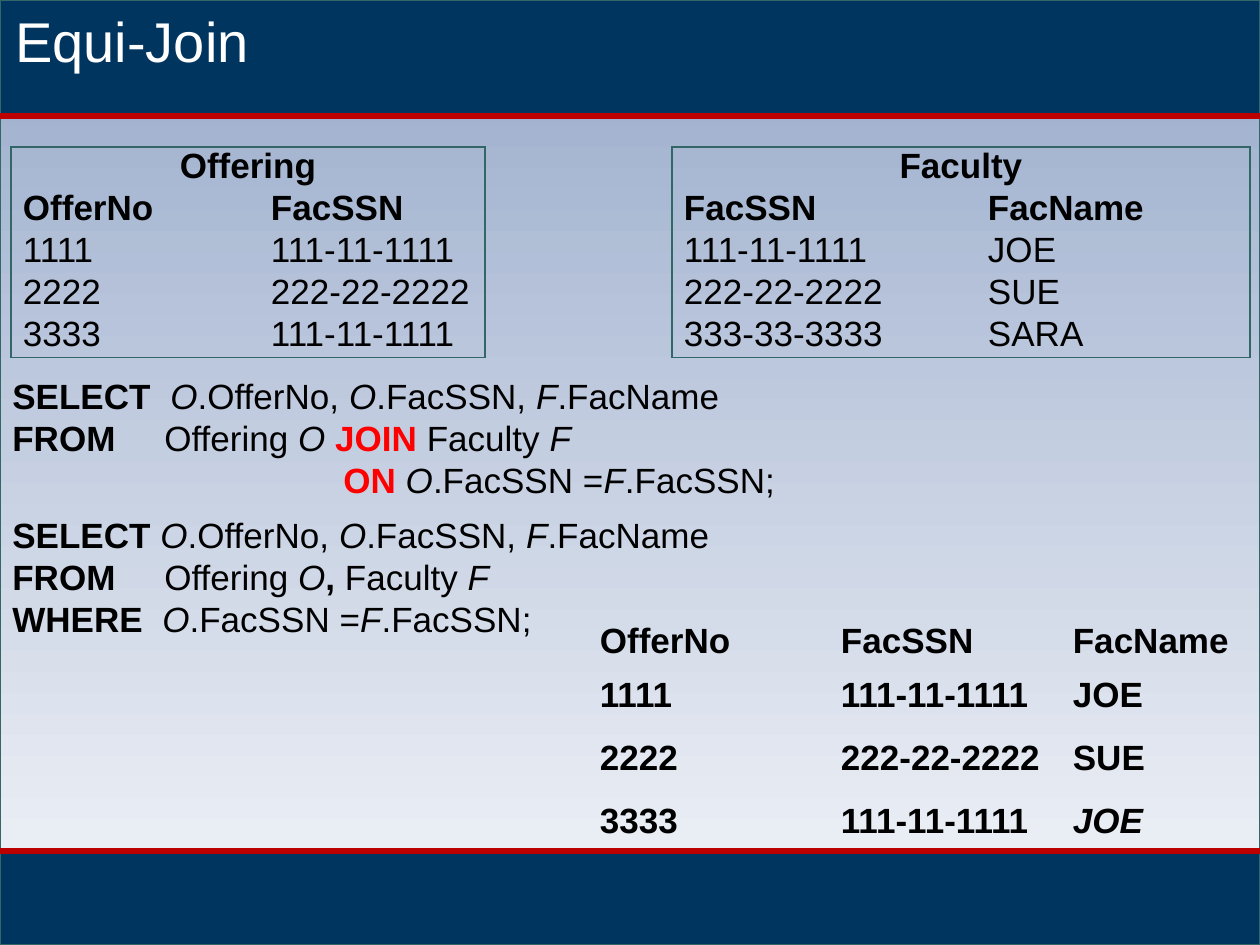
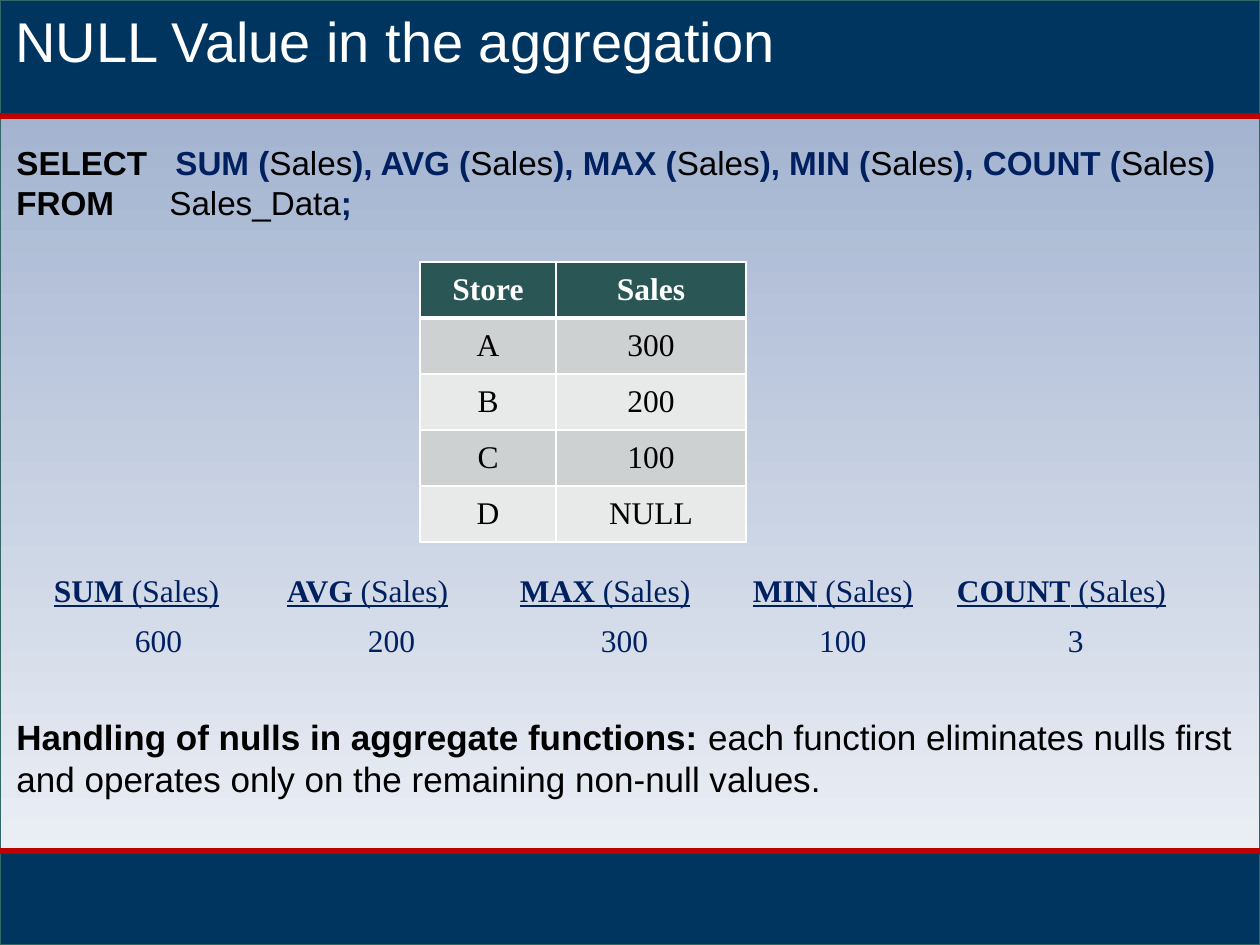
from dataclasses import dataclass

from pptx import Presentation
from pptx.dml.color import RGBColor
from pptx.enum.shapes import MSO_CONNECTOR, MSO_SHAPE
from pptx.enum.text import MSO_ANCHOR, PP_ALIGN
from pptx.oxml.ns import qn
from pptx.util import Pt
from lxml.etree import SubElement

PX = 914400 / 126
WIDTH, HEIGHT = 1260, 945
TOP_BAND, BOTTOM_BAND = 116, 851
NO_STYLE = "{2D5ABB26-0587-4C30-8999-92F81FD0307C}"


@dataclass(frozen=True)
class Theme:
    sans: str = "Arial"
    serif: str = "Times New Roman"
    title_size: int = 32
    body_size: int = 20
    query_size: int = 19
    table_size: int = 18
    sky_top: str = "99ABCB"
    sky_bottom: str = "F3F5F9"
    band: str = "003560"
    rule: str = "BC0000"
    frame: str = "336666"
    text: str = "000000"
    white: str = "FFFFFF"
    accent: str = "FF0000"
    navy: str = "002060"
    header_fill: str = "2A5656"
    odd_fill: str = "CDD1D1"
    even_fill: str = "E8E9E9"


THEME = Theme()
BOLD = {"bold": True}
ITALIC = {"italic": True}
JOIN_WORD = {"bold": True, "color": THEME.accent}
FUNCTION = {"bold": True, "color": THEME.navy}


def emu(pixels):
    return round(pixels * PX)


def rgb(color):
    return RGBColor.from_string(color)


def add_span(para, text, *, size=THEME.body_size, font=THEME.sans, color=THEME.text,
             bold=False, italic=False, underline=False):
    span = para.add_run()
    span.text = text
    span.font.size = Pt(size)
    span.font.name = font
    span.font.color.rgb = rgb(color)
    span.font.bold = bold
    span.font.italic = italic
    span.font.underline = underline


def fill_para(para, content, **style):
    """Write a plain string, or a list of strings and (text, format) pairs."""
    for part in [content] if isinstance(content, str) else content:
        text, extra = (part, {}) if isinstance(part, str) else part
        add_span(para, text, **{**style, **extra})


def set_tabs(para, stops):
    tabs = SubElement(para._p.get_or_add_pPr(), qn("a:tabLst"))
    for stop in stops:
        SubElement(tabs, qn("a:tab"), pos=str(emu(stop)), algn="l")


def set_borders(cell, borders):
    """Draw the sides named in borders as (color, points) and clear the others."""
    properties = cell._tc.get_or_add_tcPr()
    for side in "LRTB":
        color, points = borders.get(side, (None, 0))
        line = SubElement(properties, qn(f"a:ln{side}"), w=str(Pt(points)))
        if color:
            fill = SubElement(line, qn("a:solidFill"))
            SubElement(fill, qn("a:srgbClr"), val=color)
        else:
            SubElement(line, qn("a:noFill"))


class SlideBuilder:
    def __init__(self, deck, theme):
        self.deck = deck
        self.theme = theme
        self.page = None

    def new_page(self, title):
        self.page = self.deck.slides.add_slide(self.deck.slide_layouts[6])
        sky = self.rectangle(0, HEIGHT)
        sky.fill.gradient()
        sky.fill.gradient_angle = 270
        for stop, color in zip(sky.fill.gradient_stops,
                               (self.theme.sky_top, self.theme.sky_bottom)):
            stop.color.rgb = rgb(color)
        for top, bottom in ((BOTTOM_BAND, HEIGHT), (0, TOP_BAND)):
            band = self.rectangle(top, bottom - top)
            band.fill.solid()
            band.fill.fore_color.rgb = rgb(self.theme.band)
        for y in (TOP_BAND, BOTTOM_BAND):
            self.rule(y)
        self.text(3, 0, 1257, 81, [(title, ())],
                  size=self.theme.title_size, color=self.theme.white)

    def rectangle(self, top, height):
        """Add a full-width rectangle with the thin frame line."""
        shape = self.page.shapes.add_shape(
            MSO_SHAPE.RECTANGLE, 0, emu(top), emu(WIDTH), emu(height))
        shape.shadow.inherit = False
        shape.line.color.rgb = rgb(self.theme.frame)
        shape.line.width = Pt(0.75)
        return shape

    def rule(self, y):
        line = self.page.shapes.add_connector(
            MSO_CONNECTOR.STRAIGHT, 0, emu(y), emu(WIDTH), emu(y))
        line.line.color.rgb = rgb(self.theme.rule)
        line.line.width = Pt(3.75)
        SubElement(line._element.spPr, qn("a:effectLst"))

    def text(self, left, top, width, height, paragraphs, **style):
        """Add a text box; each paragraph is (content, tab stops)."""
        box = self.page.shapes.add_textbox(*map(emu, (left, top, width, height)))
        frame = box.text_frame
        frame.word_wrap = True
        for index, (content, stops) in enumerate(paragraphs):
            para = frame.add_paragraph() if index else frame.paragraphs[0]
            if stops:
                set_tabs(para, stops)
            fill_para(para, content, **style)

    def table(self, left, top, widths, heights, rows, look, margins=(12, 6),
              anchor=MSO_ANCHOR.TOP):
        """Add a table; look(row, column) gives align, fill, borders and font format."""
        graphic = self.page.shapes.add_table(
            len(heights), len(widths),
            *map(emu, (left, top, sum(widths), sum(heights))))
        table = graphic.table
        table.first_row = table.horz_banding = False
        table._tbl.tblPr.find(qn("a:tableStyleId")).text = NO_STYLE
        for column, width in zip(table.columns, widths):
            column.width = emu(width)
        for r, (height, contents) in enumerate(zip(heights, rows)):
            table.rows[r].height = emu(height)
            for c, content in enumerate(contents):
                cell, style = table.cell(r, c), look(r, c)
                cell.margin_left = cell.margin_right = emu(margins[0])
                cell.margin_top = cell.margin_bottom = emu(margins[1])
                cell.vertical_anchor = anchor
                set_borders(cell, style.pop("borders", {}))
                fill = style.pop("fill", None)
                if fill:
                    cell.fill.solid()
                    cell.fill.fore_color.rgb = rgb(fill)
                else:
                    cell.fill.background()
                para = cell.text_frame.paragraphs[0]
                para.alignment = style.pop("align", PP_ALIGN.LEFT)
                if content:
                    fill_para(para, content, **style)
        return table

    def framed_table(self, left, widths, name, rows):
        """Add a two-column relation with its name on top and a line around it."""
        last = len(rows)
        edge = (self.theme.frame, 1)

        def look(r, c):
            sides = {"L": c == 0, "R": c == 1 or r == 0, "T": r == 0, "B": r == last}
            return {"bold": r < 2,
                    "align": PP_ALIGN.LEFT if r else PP_ALIGN.CENTER,
                    "borders": {side: edge for side, drawn in sides.items() if drawn}}

        table = self.table(left, 147, widths, [42] * (last + 1),
                           [(name, ""), *rows], look, margins=(12, 0))
        table.cell(0, 0).merge(table.cell(0, 1))


def build_equi_join(builder):
    builder.new_page("Equi-Join")
    columns = [("O", ITALIC), ".OfferNo, ", ("O", ITALIC), ".FacSSN, ",
               ("F", ITALIC), ".FacName"]
    condition = [("O", ITALIC), ".FacSSN =", ("F", ITALIC), ".FacSSN;"]
    builder.text(0, 368, WIDTH, 140, [
        ([("SELECT\t", BOLD), *columns], (158,)),
        ([("FROM\t", BOLD), "Offering ", ("O ", ITALIC), ("JOIN ", JOIN_WORD),
          "Faculty ", ("F", ITALIC)], (152,)),
        ([("\tON ", JOIN_WORD), *condition], (331,)),
    ])
    builder.framed_table(672, (304, 274), "Faculty", [
        ("FacSSN", "FacName"),
        ("111-11-1111", "JOE"),
        ("222-22-2222", "SUE"),
        ("333-33-3333", "SARA"),
    ])
    builder.framed_table(11, (248, 226), "Offering", [
        ("OfferNo", "FacSSN"),
        ("1111", "111-11-1111"),
        ("2222", "222-22-2222"),
        ("3333", "111-11-1111"),
    ])
    joined = [
        ("OfferNo", "FacSSN", "FacName"),
        ("1111", "111-11-1111", "JOE"),
        ("2222", "222-22-2222", "SUE"),
        ("3333", "111-11-1111", [("JOE", ITALIC)]),
    ]
    builder.table(588, 616, (241, 232, 188), (54, 63, 63, 54), joined,
                  lambda r, c: {"bold": True})
    builder.text(0, 507, WIDTH, 140, [
        ([("SELECT\t", BOLD), *columns], (148,)),
        ([("FROM\t", BOLD), "Offering ", ("O", ITALIC), (", ", BOLD),
          "Faculty ", ("F", ITALIC)], (152,)),
        ([("WHERE\t", BOLD), *condition], (150,)),
    ])


def build_null_aggregation(builder):
    theme = builder.theme
    builder.new_page("NULL Value in the aggregation")
    results = {"SUM": "600", "AVG": "200", "MAX": "300", "MIN": "100", "COUNT": "3"}

    calls = []
    for name in results:
        calls += [(f"{'), ' if calls else ''}{name} (", FUNCTION), "Sales"]
    builder.text(4, 136, 1256, 93, [
        ([("SELECT\t", BOLD), *calls, (")", FUNCTION)], (159,)),
        ([("FROM\t", BOLD), "Sales_Data", (";", FUNCTION)], (153,)),
    ], size=theme.query_size)

    def sales_look(r, c):
        thin, thick = (theme.white, 1), (theme.white, 3)
        return {"align": PP_ALIGN.CENTER, "size": theme.table_size, "font": theme.serif,
                "bold": r == 0, "color": theme.text if r else theme.white,
                "fill": (theme.odd_fill if r % 2 else theme.even_fill)
                if r else theme.header_fill,
                "borders": {"L": thin, "R": thin, "T": thick if r == 1 else thin,
                            "B": thin if r else thick}}

    sales = [("Store", "Sales"), ("A", "300"), ("B", "200"), ("C", "100"), ("D", "NULL")]
    builder.table(420, 262, (136, 190), [56] * len(sales), sales, sales_look,
                  margins=(1, 1), anchor=MSO_ANCHOR.MIDDLE)

    def result_look(r, c):
        return {"align": PP_ALIGN.CENTER if r else PP_ALIGN.LEFT, "underline": r == 0,
                "size": theme.table_size, "font": theme.serif, "color": theme.navy}

    headings = [[(name, BOLD), " (Sales)"] for name in results]
    builder.table(42, 567, (233, 233, 233, 204, 262), (50, 50),
                  [headings, results.values()], result_look, anchor=MSO_ANCHOR.MIDDLE)

    builder.text(4, 709, 1256, 97, [
        ([("Handling of nulls in aggregate functions: ", BOLD),
          "each function eliminates nulls first and operates only on the "
          "remaining non-null values."], ()),
    ])


def main():
    deck = Presentation()
    deck.slide_width, deck.slide_height = emu(WIDTH), emu(HEIGHT)
    builder = SlideBuilder(deck, THEME)
    build_equi_join(builder)
    build_null_aggregation(builder)
    deck.save("out.pptx")


if __name__ == "__main__":
    main()
